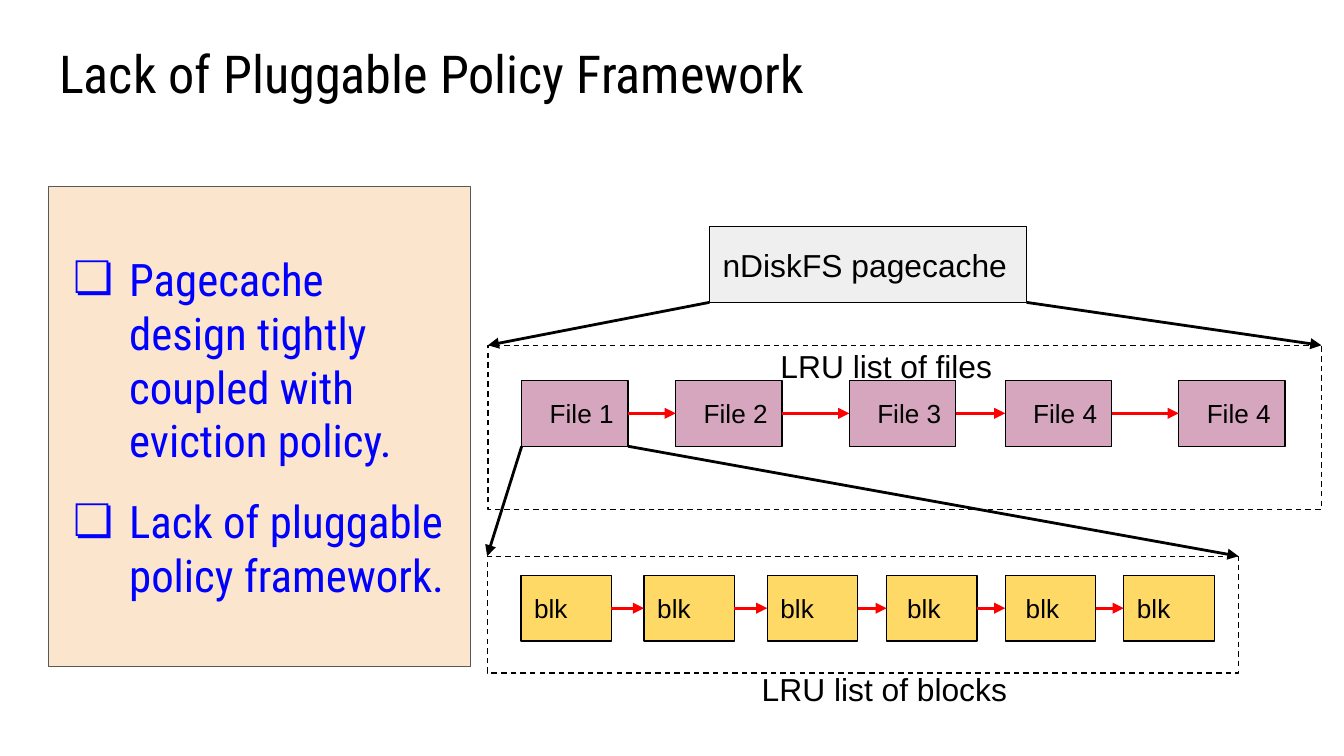
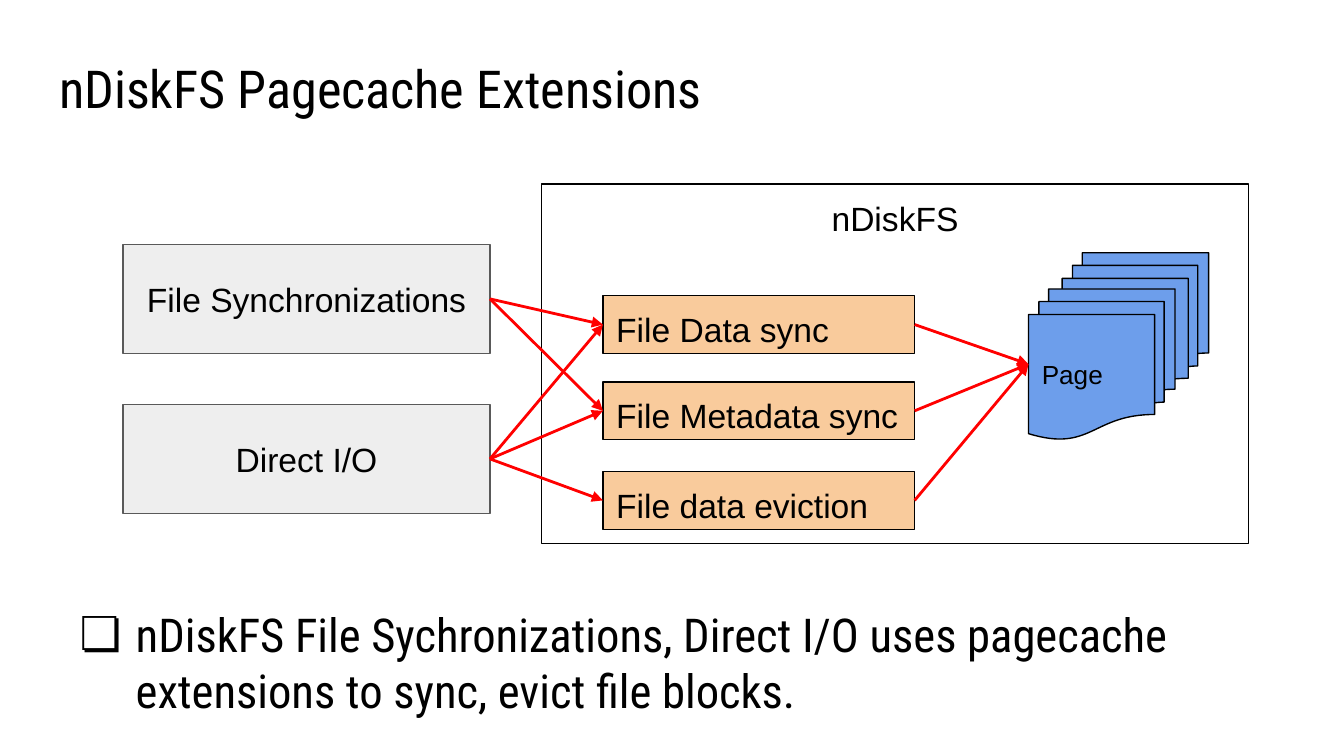
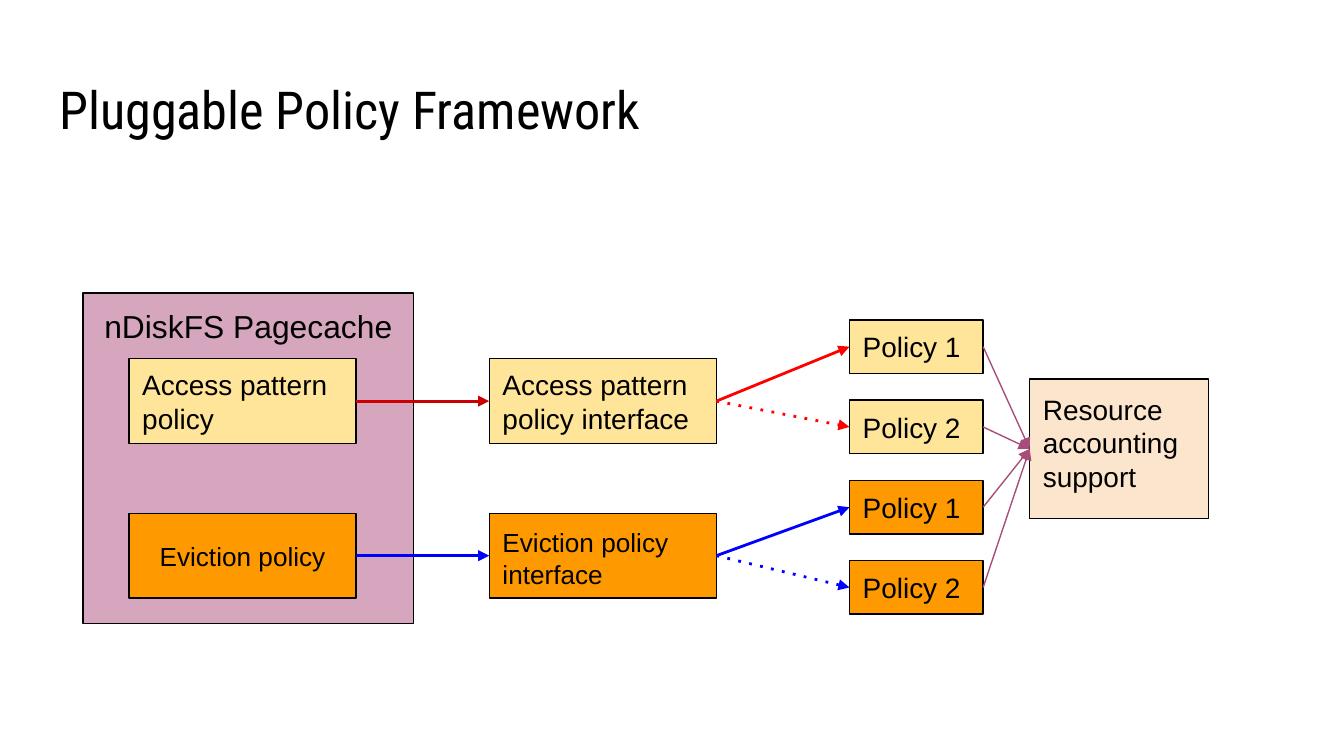
from dataclasses import dataclass
from itertools import pairwise

from lxml.etree import SubElement
from pptx import Presentation
from pptx.dml.color import RGBColor
from pptx.enum.shapes import MSO_CONNECTOR, MSO_SHAPE
from pptx.enum.text import MSO_ANCHOR, MSO_AUTO_SIZE, PP_ALIGN
from pptx.oxml.ns import qn
from pptx.util import Pt

COLORS = {
    "black": "000000",
    "border": "595959",
    "peach": "FCE5CD",
    "gray": "EFEFEF",
    "caller": "EEEEEE",
    "mauve": "D5A6BD",
    "gold": "FFD966",
    "white": "FFFFFF",
    "document": "6D9EEB",
    "operation": "F9CB9C",
    "cream": "FFE599",
    "orange": "FF9900",
    "red": "FF0000",
    "dark_red": "CC0000",
    "blue": "0000FF",
    "plum": "A64D79",
}
HEADING_FONT = "Roboto Condensed"
LABEL_FONT = "Arial"
TITLE_AND_BODY, TITLE_ONLY = 1, 5
LEFT_SITE, RIGHT_SITE = 1, 3
FRAME_FORMAT = {
    "word_wrap": True,
    "auto_size": MSO_AUTO_SIZE.NONE,
    "margin_left": Pt(7.2),
    "margin_top": Pt(7.2),
    "margin_right": Pt(7.2),
    "margin_bottom": Pt(7.2),
}


@dataclass
class Box:
    """A rectangle in points."""

    left: float
    top: float
    width: float
    height: float

    def inner(self, left, top, width, height):
        """Return a box offset from this one."""
        return Box(self.left + left, self.top + top, width, height)

    def lengths(self):
        """Return the four lengths for a python-pptx call."""
        return [Pt(value) for value in (self.left, self.top, self.width, self.height)]


def apply_format(target, values):
    """Set each named attribute on the target."""
    for name, value in values.items():
        setattr(target, name, value)


def color(name):
    """Return the named colour."""
    return RGBColor.from_string(COLORS[name])


def set_text(shape, text, font, size, ink="black", align=PP_ALIGN.LEFT, **frame_format):
    """Fill the shape with formatted paragraphs and return them."""
    frame = shape.text_frame
    apply_format(frame, {"vertical_anchor": MSO_ANCHOR.TOP, **FRAME_FORMAT, **frame_format})
    frame.text = text
    for paragraph in frame.paragraphs:
        apply_format(paragraph, {"alignment": align, "space_before": Pt(0)})
        apply_format(paragraph.font, {"name": font, "size": Pt(size), "bold": False})
        paragraph.font.color.rgb = color(ink)
    return frame.paragraphs


def set_line(shape, ink="black", width=0.75, dash=None):
    """Give the shape a solid or dashed line and return its element."""
    shape.line.color.rgb = color(ink)
    shape.line.width = Pt(width)
    line = shape.element.spPr.find(qn("a:ln"))
    if dash:
        SubElement(line, qn("a:prstDash"), val=dash)
    return line


def place(shape, box):
    """Move the shape to the box."""
    apply_format(shape, dict(zip(("left", "top", "width", "height"), box.lengths())))


def add_block(slide, box, fill=None, text="", size=14, border="black", dash=None,
              preset=MSO_SHAPE.RECTANGLE, **text_format):
    """Add an outlined shape with a label."""
    shape = slide.shapes.add_shape(preset, *box.lengths())
    shape.shadow.inherit = False
    if fill:
        shape.fill.solid()
        shape.fill.fore_color.rgb = color(fill)
    else:
        shape.fill.background()
    set_line(shape, border, dash=dash)
    if text:
        set_text(shape, text, LABEL_FONT, size,
                 **{"vertical_anchor": MSO_ANCHOR.MIDDLE, **text_format})
    return shape


def add_label(slide, box, text, size):
    """Add a plain text label."""
    set_text(slide.shapes.add_textbox(*box.lengths()), text, LABEL_FONT, size)


def add_arrow(slide, start, end, ink, width=1.5, dash=None):
    """Add an arrow between two points."""
    arrow = slide.shapes.add_connector(MSO_CONNECTOR.STRAIGHT, *start, *end)
    line = set_line(arrow, ink, width, dash)
    SubElement(line, qn("a:tailEnd"), type="triangle")
    SubElement(arrow.element.spPr, qn("a:effectLst"))
    return arrow


def link(slide, source, target, ink="red", width=1.5, dash=None):
    """Join the right side of the source to the left side of the target."""
    arrow = add_arrow(slide, (0, 0), (0, 0), ink, width, dash)
    arrow.begin_connect(source, RIGHT_SITE)
    arrow.end_connect(target, LEFT_SITE)


def fan_out(slide, source, target):
    """Join the bottom corners of the source to the top corners of the target."""
    bottom = source.top + source.height
    for start, end in ((source.left, target.left),
                       (source.left + source.width, target.left + target.width)):
        add_arrow(slide, (start, bottom), (end, target.top), "black")


def add_titled_slide(presentation, layout, text, top, height, anchor=MSO_ANCHOR.TOP):
    """Add a slide and format its title."""
    slide = presentation.slides.add_slide(presentation.slide_layouts[layout])
    place(slide.shapes.title, Box(24.5, top, 671, height))
    set_text(slide.shapes.title, text, HEADING_FONT, 28, vertical_anchor=anchor)
    return slide


def fill_body(slide, box, items, size, ink="black", anchor=MSO_ANCHOR.TOP):
    """Write the checkbox list in the body placeholder."""
    body = slide.placeholders[1]
    place(body, box)
    for paragraph in set_text(body, "", HEADING_FONT, size, vertical_anchor=anchor):
        paragraph.clear()
    frame = body.text_frame
    for index, item in enumerate(items):
        paragraph = frame.add_paragraph() if index else frame.paragraphs[0]
        paragraph.text = item
        apply_format(paragraph, {"alignment": PP_ALIGN.LEFT,
                                 "space_before": Pt(14.5 if index else 0)})
        properties = paragraph._p.get_or_add_pPr()
        properties.set("marL", str(Pt(36)))
        properties.set("indent", str(-Pt(30)))
        for child in properties.findall(qn("a:defRPr")):
            properties.remove(child)
        SubElement(SubElement(properties, qn("a:buClr")), qn("a:srgbClr"), val=COLORS[ink])
        SubElement(properties, qn("a:buFont"), typeface=HEADING_FONT)
        SubElement(properties, qn("a:buChar"), char="❏")
        apply_format(paragraph.font, {"name": HEADING_FONT, "size": Pt(size)})
        paragraph.font.color.rgb = color(ink)
    return body


def add_chain(slide, box, lefts, labels, margins, fill):
    """Add a row of equal blocks joined by arrows, each as wide as the box."""
    blocks = [
        add_block(slide, box.inner(left, 0, box.width, box.height), fill, label,
                  margin_left=Pt(margin), margin_right=Pt(5))
        for left, label, margin in zip(lefts, labels, margins)
    ]
    for source, target in pairwise(blocks):
        link(slide, source, target)
    return blocks


def draw_lru_lists(slide, box):
    """Draw the pagecache with its file list and block list."""
    pagecache = add_block(slide, box.inner(119, 0, 170, 40.5), "gray", "nDiskFS pagecache", 17)
    files = add_chain(slide, box.inner(0, 82.3, 57, 35.3), (18.5, 101, 194, 277.5, 370.5),
                      [f"File {number}" for number in (1, 2, 3, 4, 4)], [15] * 5, "mauve")
    add_chain(slide, box.inner(0, 186.7, 48.5, 35.3), (18, 84, 150, 214, 277.5, 341),
              ["blk"] * 6, (7.2, 7.2, 7.2, 11, 11, 7.2), "gold")
    file_frame = add_block(slide, box.inner(0.4, 63.5, 446.5, 88), dash="dash")
    block_frame = add_block(slide, box.inner(0, 176.5, 402.5, 62.5), dash="dash")
    fan_out(slide, pagecache, file_frame)
    fan_out(slide, files[0], block_frame)
    add_label(slide, box.inner(150, 57, 176.5, 30), "LRU list of files", 17)
    add_label(slide, box.inner(140, 230, 149, 30), "LRU list of blocks", 17)


def draw_extensions(slide, box):
    """Draw the callers, the file operations and the pages."""
    add_block(slide, box.inner(224, 0, 379, box.height), "white", "nDiskFS", 18,
              align=PP_ALIGN.CENTER, vertical_anchor=MSO_ANCHOR.TOP)
    for left, top, text in ((503, 36.8, ""), (485, 56.2, "Page")):
        pages = add_block(slide, box.inner(left, top, 78.5, 80.6), "document", text,
                          preset=MSO_SHAPE.FLOWCHART_MULTIDOCUMENT)
    operations = [
        add_block(slide, box.inner(257, top, 167, 31), "operation", text, 18,
                  vertical_anchor=MSO_ANCHOR.TOP)
        for top, text in ((59.8, "File Data sync"), (106, "File Metadata sync"),
                          (154, "File data eviction"))
    ]
    callers = [
        add_block(slide, box.inner(0, 32.4 + 85.7 * row, 196.5, 58.3), "caller", text, 18,
                  border="border", align=PP_ALIGN.CENTER)
        for row, text in enumerate(("File Synchronizations", "Direct I/O"))
    ]
    for operation in operations:
        link(slide, operation, pages)
    for caller, targets in zip(callers, (operations[:2], operations)):
        for target in targets:
            link(slide, caller, target)


def draw_policy_framework(slide, box):
    """Draw the policies, their interfaces and the shared accounting."""
    add_block(slide, box.inner(0, 0, 177, 177), "mauve", "nDiskFS Pagecache", 17,
              align=PP_ALIGN.CENTER, vertical_anchor=MSO_ANCHOR.TOP)
    accounting = add_block(slide, box.inner(507, 46, 95.8, 75), "peach",
                           "Resource\naccounting\nsupport", 15,
                           vertical_anchor=MSO_ANCHOR.TOP)
    rows = (
        (35.2, "cream", "dark_red", "red", 15, "Access pattern policy",
         "Access pattern policy interface", PP_ALIGN.LEFT, MSO_ANCHOR.MIDDLE),
        (118, "orange", "blue", "blue", 14, "Eviction policy",
         "Eviction policy\ninterface", PP_ALIGN.CENTER, MSO_ANCHOR.TOP),
    )
    for row, (top, fill, call_ink, ink, size, name, interface_name, align, anchor) in enumerate(rows):
        policy = add_block(slide, box.inner(24.5, top, 121.7, 45.4), fill, name, size, align=align)
        interface = add_block(slide, box.inner(217.5, top, 121.7, 45.4), fill,
                              interface_name, size, vertical_anchor=anchor)
        link(slide, policy, interface, call_ink)
        for column, dash in enumerate((None, "dot")):
            choice_top = 14.4 + 43 * (2 * row + column)
            choice = add_block(slide, box.inner(410.5, choice_top, 71.6, 28.7), fill,
                               f"Policy {column + 1}", 15)
            link(slide, interface, choice, ink, dash=dash)
            link(slide, choice, accounting, "plum", 0.75)


def main():
    """Build and save the three slides."""
    presentation = Presentation()
    apply_format(presentation, {"slide_width": Pt(720), "slide_height": Pt(405)})

    slide = add_titled_slide(presentation, TITLE_AND_BODY,
                             "Lack of Pluggable Policy Framework", 15, 62.6)
    body = fill_body(slide, Box(26, 100, 226, 257),
                     ("Pagecache\vdesign tightly coupled with eviction policy.",
                      "Lack of pluggable\vpolicy framework."),
                     24, "blue", MSO_ANCHOR.MIDDLE)
    body.fill.solid()
    body.fill.fore_color.rgb = color("peach")
    set_line(body, "border")
    draw_lru_lists(slide, Box(261, 121.5, 447, 260))

    slide = add_titled_slide(presentation, TITLE_AND_BODY,
                             "nDiskFS Pagecache Extensions", 23, 54.7)
    draw_extensions(slide, Box(66, 98.6, 603, 192.5))
    fill_body(slide, Box(29.5, 317.5, 639.5, 58),
              ("nDiskFS File Sychronizations, Direct I/O uses pagecache "
               "extensions to sync, evict file blocks.",), 25)

    slide = add_titled_slide(presentation, TITLE_ONLY, "Pluggable Policy Framework",
                             0, 82, MSO_ANCHOR.BOTTOM)
    draw_policy_framework(slide, Box(44.6, 157, 603, 177))

    presentation.save("out.pptx")


if __name__ == "__main__":
    main()
